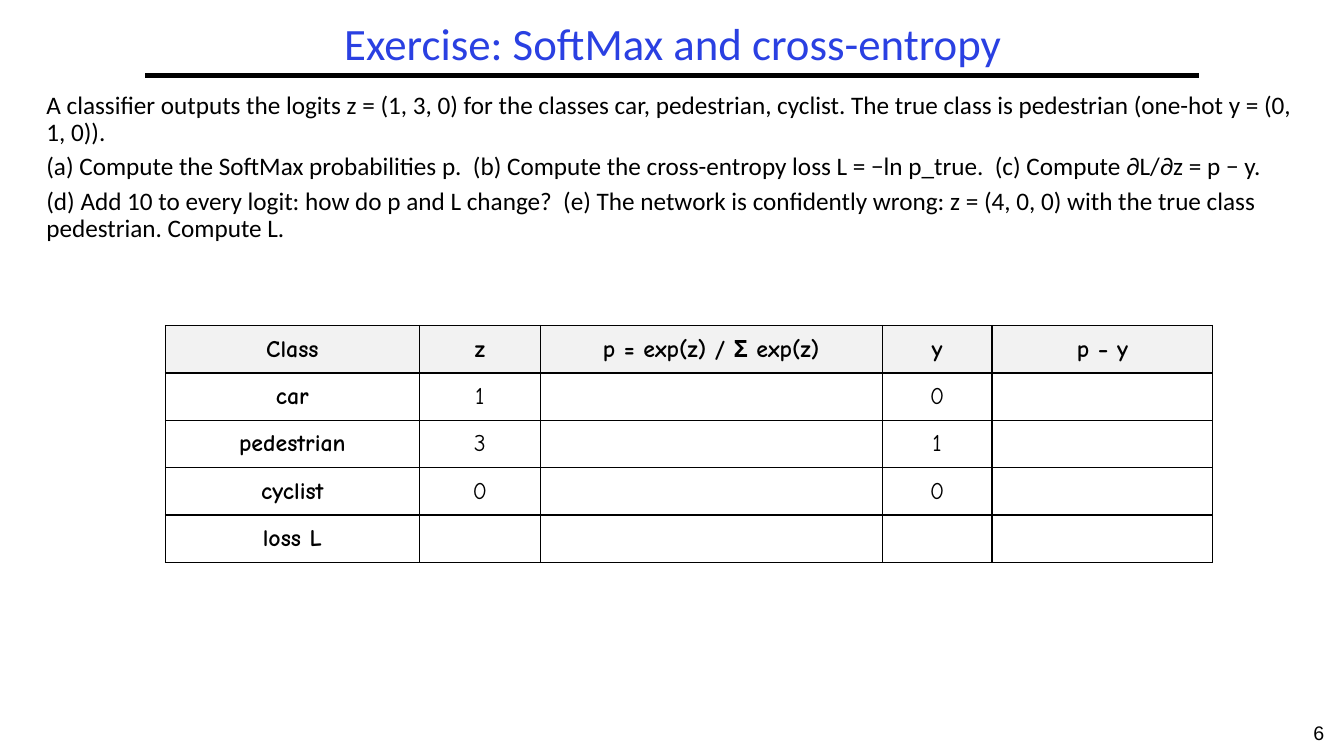
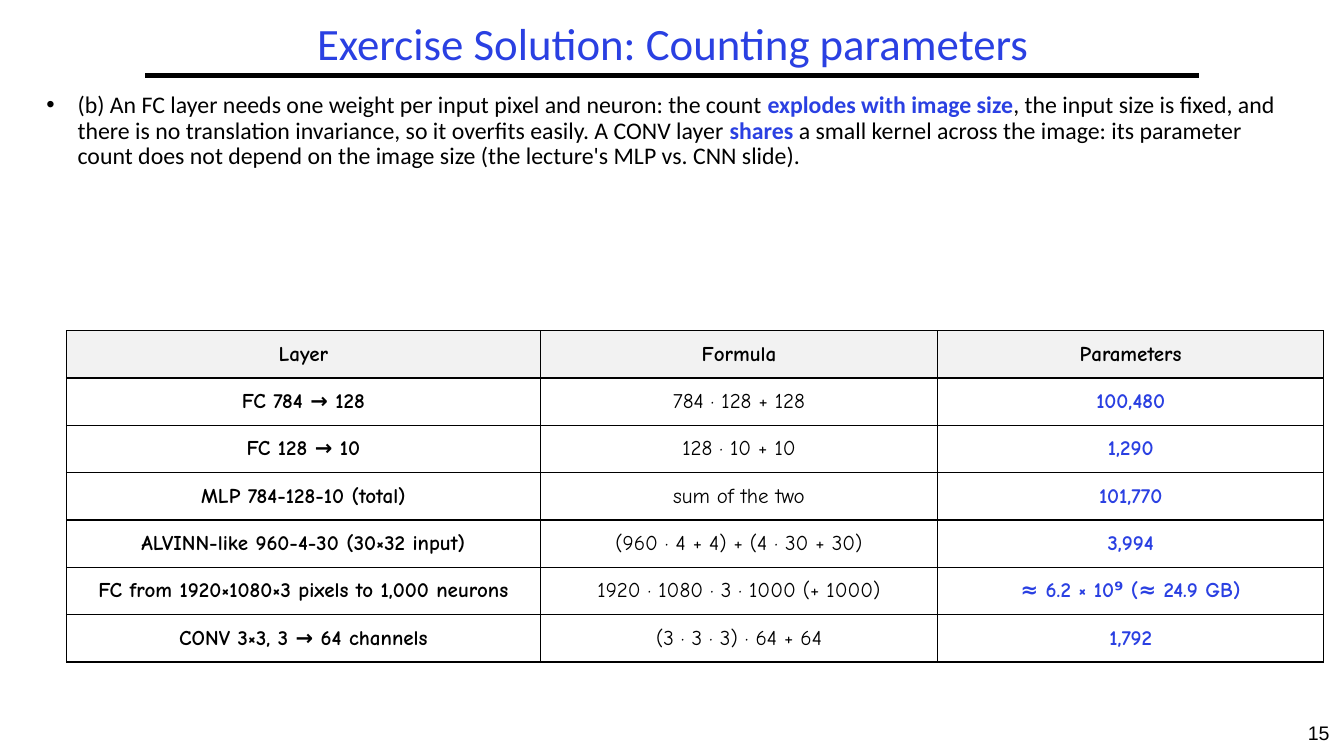
from lxml import etree
from pptx import Presentation
from pptx import util as u
from pptx.dml.color import RGBColor
from pptx.enum import shapes, text
from pptx.oxml.ns import qn

BLUE, BLACK, GREY = "2A40E2", "000000", "F2F2F2"
ROW = 0.47


def color(code):
    return RGBColor.from_string(code)


def box(left, top, width, height):
    return [u.Inches(n) for n in (left, top, width, height)]


def style(run, size, face, code=BLACK, bold=False):
    font = run.font
    font.size, font.name, font.bold = u.Pt(size), face, bold
    font.color.rgb = color(code)


def place(shape, *area):
    shape.left, shape.top, shape.width, shape.height = box(*area)
    frame = shape.text_frame
    frame.word_wrap = True
    frame.auto_size = text.MSO_AUTO_SIZE.NONE
    return frame


def add_title(slide, words):
    frame = place(slide.shapes.title, 1.44, 0.17, 10.47, 0.58)
    frame.text = words
    frame.vertical_anchor = text.MSO_ANCHOR.MIDDLE
    para = frame.paragraphs[0]
    para.alignment = text.PP_ALIGN.CENTER
    para.line_spacing = 0.9
    style(para.runs[0], 32, "Calibri", BLUE)


def add_rule(slide):
    ends = [u.Inches(n) for n in (1.44, 0.75, 11.89, 0.75)]
    rule = slide.shapes.add_connector(shapes.MSO_CONNECTOR.STRAIGHT, *ends)
    rule.line.width = u.Pt(3)
    rule.line.color.rgb = color(BLACK)
    etree.SubElement(rule._element.spPr, qn("a:effectLst"))


def add_number(slide, number):
    frame = slide.shapes.add_textbox(*box(12.83, 7.1, 0.5, 0.4)).text_frame
    frame.word_wrap = True
    frame.text = str(number)
    para = frame.paragraphs[0]
    para.alignment = text.PP_ALIGN.CENTER
    style(para.runs[0], 14, "Arial")


def set_bullet(para, shown):
    props = para._p.get_or_add_pPr()
    indent = u.Inches(0.31) if shown else 0
    props.set("marL", str(indent))
    props.set("indent", str(-indent))
    if shown:
        face = etree.SubElement(props, qn("a:buFont"))
        face.set("typeface", "Arial")
        etree.SubElement(props, qn("a:buChar")).set("char", "•")
    else:
        etree.SubElement(props, qn("a:buNone"))


def add_body(slide, lines, size, height, bullet=False):
    frame = place(slide.placeholders[1], 0.36, 0.87, 12.58, height)
    for i, line in enumerate(lines):
        para = frame.add_paragraph() if i else frame.paragraphs[0]
        set_bullet(para, bullet)
        para.line_spacing = 0.9
        para.space_before = u.Pt(5 if i else 0)
        for j, part in enumerate(line.split("*")):
            run = para.add_run()
            run.text = part
            strong = j % 2 == 1
            style(run, size, "Calibri", BLUE if strong else BLACK, strong)


def add_border(cell):
    props = cell._tc.get_or_add_tcPr()
    for side in ("lnL", "lnR", "lnT", "lnB"):
        line = etree.SubElement(props, qn("a:" + side))
        line.set("w", str(u.Pt(1)))
        fill = etree.SubElement(line, qn("a:solidFill"))
        etree.SubElement(fill, qn("a:srgbClr")).set("val", BLACK)


def fill_cell(cell, words, size, code, bold, head):
    add_border(cell)
    if head:
        cell.fill.solid()
        cell.fill.fore_color.rgb = color(GREY)
    else:
        cell.fill.background()
    cell.margin_left = cell.margin_right = u.Inches(0.07)
    cell.margin_top = cell.margin_bottom = u.Inches(0.03)
    cell.vertical_anchor = text.MSO_ANCHOR.MIDDLE
    cell.text = words
    para = cell.text_frame.paragraphs[0]
    para.alignment = text.PP_ALIGN.CENTER
    for run in para.runs:
        style(run, size, "Comic Neue", code, bold)


def add_grid(slide, left, top, widths, rows, size, result=None):
    area = box(left, top, sum(widths), ROW * len(rows))
    table = slide.shapes.add_table(len(rows), len(widths), *area).table
    table.horz_banding = False
    for col, width in zip(table.columns, widths):
        col.width = u.Inches(width)
    for r, row in enumerate(rows):
        table.rows[r].height = u.Inches(ROW)
        for c, words in enumerate(row):
            head = r == 0
            answer = c == result and not head
            bold = head or c == 0 or answer
            code = BLUE if answer else BLACK
            fill_cell(table.cell(r, c), words, size, code, bold, head)


def add_slide(deck, title, number):
    slide = deck.slides.add_slide(deck.slide_layouts[1])
    add_rule(slide)
    add_number(slide, number)
    add_title(slide, title)
    return slide


def main():
    deck = Presentation()
    deck.slide_width, deck.slide_height = u.Inches(13.33), u.Inches(7.5)

    slide = add_slide(deck, "Exercise: SoftMax and cross-entropy", 6)
    add_body(slide, [
        "A classifier outputs the logits z = (1, 3, 0) for the classes car, "
        "pedestrian, cyclist. The true class is pedestrian "
        "(one-hot y = (0, 1, 0)).",
        "(a) Compute the SoftMax probabilities p.  (b) Compute the "
        "cross-entropy loss L = −ln p_true.  (c) Compute ∂L/∂z = p − y.",
        "(d) Add 10 to every logit: how do p and L change?  (e) The network "
        "is confidently wrong: z = (4, 0, 0) with the true class pedestrian. "
        "Compute L.",
    ], 18, 2.3)
    add_grid(slide, 1.64, 3.23, [2.52, 1.2, 3.39, 1.09, 2.19], [
        ("Class", "z", "p = exp(z) / Σ exp(z)", "y", "p − y"),
        ("car", "1", "", "0", ""),
        ("pedestrian", "3", "", "1", ""),
        ("cyclist", "0", "", "0", ""),
        ("loss L", "", "", "", ""),
    ], 17)

    slide = add_slide(deck, "Exercise Solution: Counting parameters", 15)
    add_body(slide, [
        "(b) An FC layer needs one weight per input pixel and neuron: the "
        "count *explodes with image size*, the input size is fixed, and there "
        "is no translation invariance, so it overfits easily. A CONV layer "
        "*shares* a small kernel across the image: its parameter count does "
        "not depend on the image size (the lecture's MLP vs. CNN slide).",
    ], 17, 2.84, bullet=True)
    add_grid(slide, 0.66, 3.28, [4.7, 3.94, 3.83], [
        ("Layer", "Formula", "Parameters"),
        ("FC 784 → 128", "784 · 128 + 128", "100,480"),
        ("FC 128 → 10", "128 · 10 + 10", "1,290"),
        ("MLP 784-128-10 (total)", "sum of the two", "101,770"),
        ("ALVINN-like 960-4-30 (30×32 input)",
         "(960 · 4 + 4) + (4 · 30 + 30)", "3,994"),
        ("FC from 1920×1080×3 pixels to 1,000 neurons",
         "1920 · 1080 · 3 · 1000 (+ 1000)", "≈ 6.2 × 10⁹ (≈ 24.9 GB)"),
        ("CONV 3×3, 3 → 64 channels", "(3 · 3 · 3) · 64 + 64", "1,792"),
    ], 15, result=2)

    deck.save("out.pptx")


if __name__ == "__main__":
    main()
